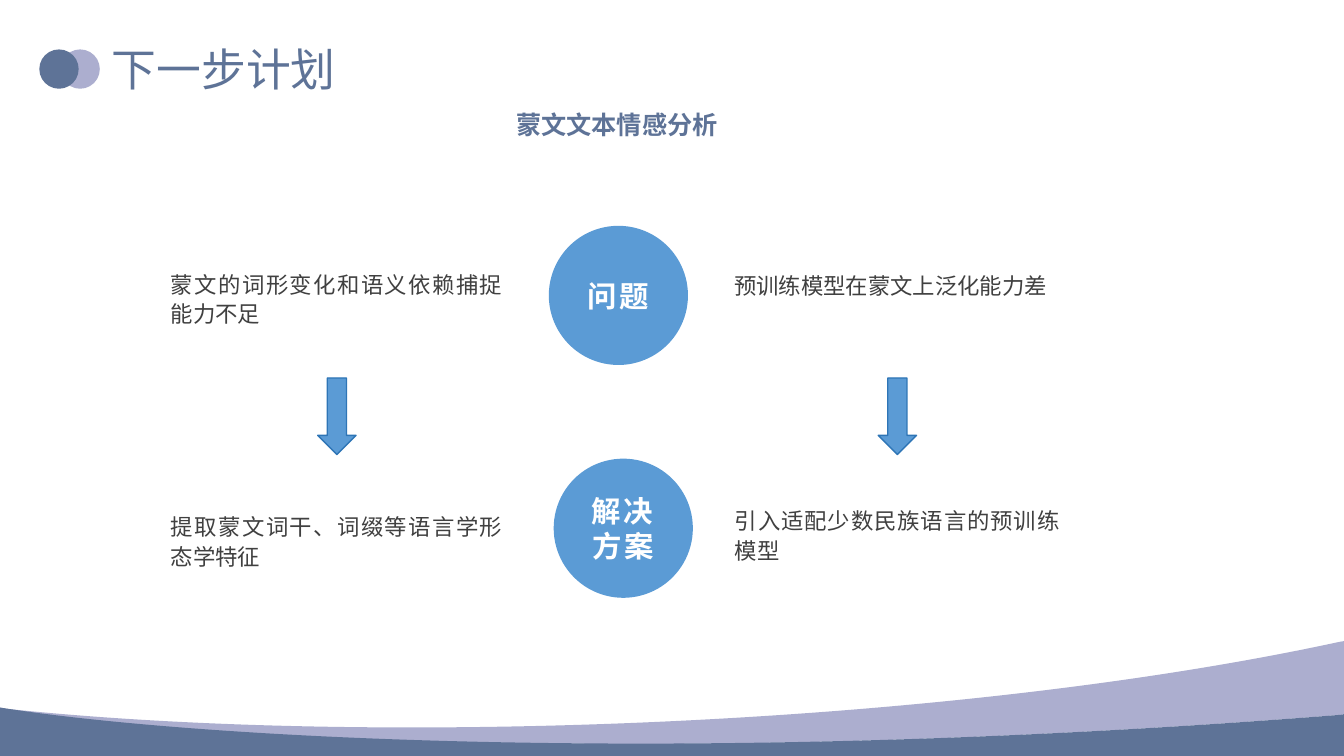
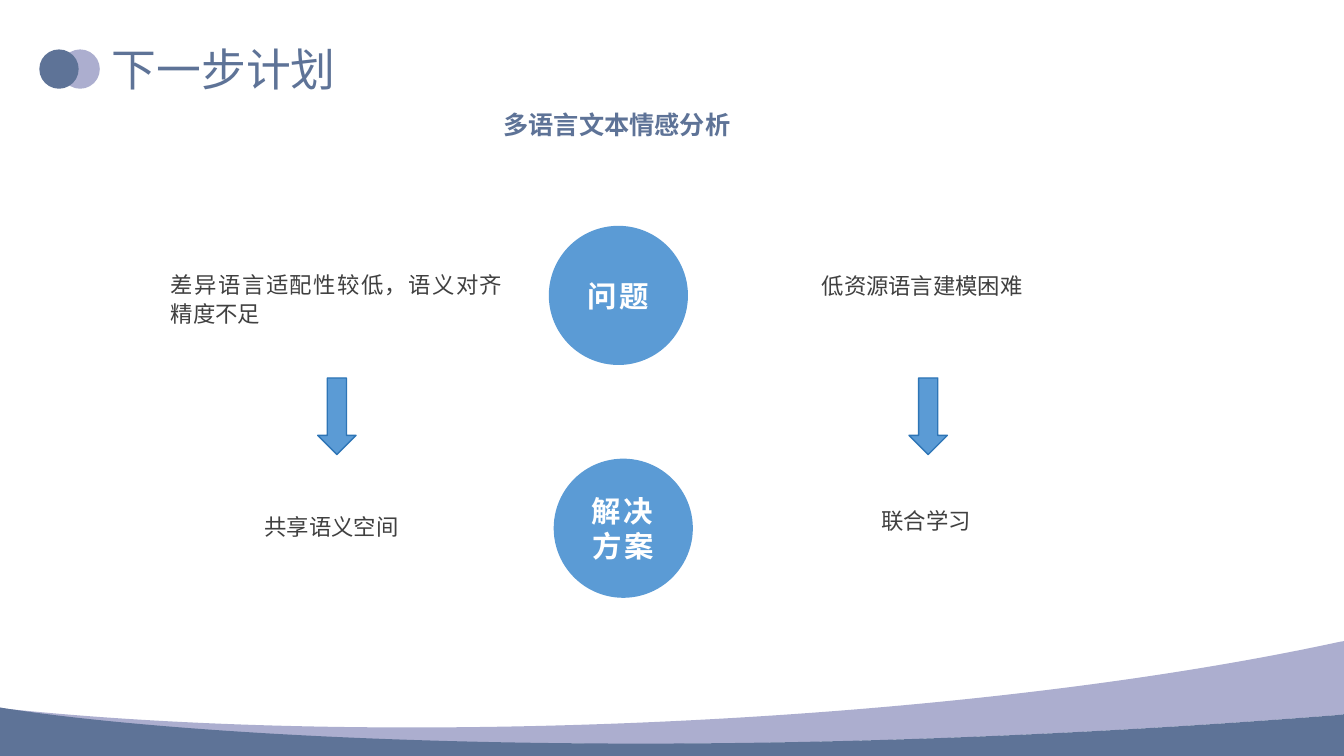
"""Build two next-step slides that pair problems with solutions in sentiment analysis."""
from pptx import Presentation
from pptx.dml.color import RGBColor
from pptx.enum.shapes import MSO_SHAPE
from pptx.enum.text import MSO_ANCHOR, PP_ALIGN
from pptx.oxml.ns import qn
from pptx.util import Pt

OVAL, DOWN_ARROW = MSO_SHAPE.OVAL, MSO_SHAPE.DOWN_ARROW
LEFT, CENTER, JUSTIFY = PP_ALIGN.LEFT, PP_ALIGN.CENTER, PP_ALIGN.JUSTIFY
TOP, MIDDLE = MSO_ANCHOR.TOP, MSO_ANCHOR.MIDDLE

COLORS = {
    "slate": "5E7397", "lilac": "ACAECF", "blue": "5B9BD5",
    "edge": "2E75B6", "ink": "404040", "white": "FFFFFF",
}
CJK_FONT = "Noto Sans CJK SC"
STYLES = {
    "title": {"size": 32, "color": "slate", "align": LEFT},
    "topic": {"size": 18, "color": "slate", "align": CENTER, "bold": True},
    "point": {"size": 16, "color": "ink", "align": JUSTIFY, "line": 1.1},
    "stage": {"size": 21, "color": "white", "align": CENTER, "bold": True,
              "font": "Arial", "spacing": 2, "anchor": MIDDLE},
}

WIDTH, HEIGHT = 960, 540
TITLE = "下一步计划"
STAGES = [("问题", 392, 161.3), ("解决方案", 395.5, 327.6)]
STAGE_SIZE = 99.4
SLIDES = [
    {"topic": "蒙文文本情感分析", "columns": [
        {"center": 240.6, "problem": ("蒙文的词形变化和语义依赖捕捉能力不足", 251.3),
         "solution": ("提取蒙文词干、词缀等语言学形态学特征", 251.3)},
        {"center": 641, "problem": ("预训练模型在蒙文上泛化能力差", 247),
         "solution": ("引入适配少数民族语言的预训练模型", 246.3)},
    ]},
    {"topic": "多语言文本情感分析", "columns": [
        {"center": 240.6, "problem": ("差异语言适配性较低，语义对齐精度不足", 251.3),
         "solution": ("共享语义空间", 117.4)},
        {"center": 663, "problem": ("低资源语言建模困难", 166.3),
         "solution": ("联合学习", 80.6)},
    ]},
]
ROWS = {"problem": [(187.9, 58.3), (188.6, 51.1)], "solution": [(361.4, 28.8), (357.1, 31)]}
ARROW_TOP, ARROW_WIDTH, ARROW_HEIGHT = 270, 27.4, 54.7
DOTS = [("lilac", 43.2), ("slate", 28.1)]
DOT_TOP, DOT_SIZE = 35.3, 28.1
WAVES = [
    {"fill": "lilac", "top": 457.9, "height": 73.4, "start": (WIDTH, 457.9), "segments": [
        [(WIDTH, 510.5)], [(959, 510.5)],
        [(468, 549.4), (123.1, 525.6), (0, 506.2)],
        [(0, 505.4)], [(3.6, 506.2)],
        [(270.7, 534.2), (679.7, 518.4), (956.2, 458.6)],
    ]},
    {"fill": "slate", "top": 505.4, "height": 34.6, "start": (0, 505.4), "segments": [
        [(123.1, 524.9), (468, 549.4), (959, 510.5)],
        [(WIDTH, 510)], [(WIDTH, HEIGHT)], [(0, HEIGHT)],
    ]},
]


def rgb(name):
    return RGBColor.from_string(COLORS[name])


def paint(shape, fill, edge=None):
    shape.shadow.inherit = False
    shape.fill.solid()
    shape.fill.fore_color.rgb = rgb(fill)
    if edge:
        shape.line.color.rgb = rgb(edge)
        shape.line.width = Pt(1)
    else:
        shape.line.fill.background()


def write(shape, text, style):
    frame = shape.text_frame
    frame.word_wrap = True
    frame.vertical_anchor = style.get("anchor", TOP)
    paragraph = frame.paragraphs[0]
    paragraph.alignment = style["align"]
    paragraph.line_spacing = style.get("line")
    run = paragraph.add_run()
    run.text = text
    run_format = {"name": style.get("font", CJK_FONT), "size": Pt(style["size"]),
                  "bold": style.get("bold", False)}
    for name, value in run_format.items():
        setattr(run.font, name, value)
    run.font.color.rgb = rgb(style["color"])
    properties = run.font._element
    east_asian = properties.makeelement(qn("a:ea"), {"typeface": CJK_FONT})
    properties.find(qn("a:latin")).addnext(east_asian)
    if "spacing" in style:
        properties.set("spc", str(style["spacing"] * 100))


def add_text(slide, text, style, *box):
    write(slide.shapes.add_textbox(*map(Pt, box)), text, STYLES[style])


def add_figure(slide, kind, box, fill, edge=None):
    figure = slide.shapes.add_shape(kind, *map(Pt, box))
    paint(figure, fill, edge)
    return figure


def bend(line, controls, top):
    curve = line.makeelement(qn("a:cubicBezTo"), {})
    for x, y in controls:
        position = {"x": str(Pt(x)), "y": str(Pt(y) - Pt(top))}
        curve.append(line.makeelement(qn("a:pt"), position))
    line.addprevious(curve)
    curve.append(line[0])
    line.getparent().remove(line)


def add_wave(slide, wave):
    builder = slide.shapes.build_freeform(*map(Pt, wave["start"]))
    ends = [tuple(map(Pt, segment[-1])) for segment in wave["segments"]]
    builder.add_line_segments(ends, close=True)
    shape = builder.convert_to_shape()
    paint(shape, wave["fill"])
    outline = next(shape._element.iter(qn("a:path")))
    for line, segment in zip(outline.findall(qn("a:lnTo")), wave["segments"]):
        if len(segment) > 1:
            bend(line, segment[:-1], wave["top"])
    shape.height = Pt(wave["height"])
    outline.set("h", str(shape.height))


def add_frame(slide):
    add_text(slide, TITLE, "title", 72.7, 26.6, 300, 46)
    for color, left in DOTS:
        add_figure(slide, OVAL, (left, DOT_TOP, DOT_SIZE, DOT_SIZE), color)
    for wave in WAVES:
        add_wave(slide, wave)


def add_plan(slide, plan):
    add_text(slide, plan["topic"], "topic", 280.8, 74.2, 319.7, 28.8)
    for label, left, top in STAGES:
        stage = add_figure(slide, OVAL, (left, top, STAGE_SIZE, STAGE_SIZE), "blue")
        write(stage, label, STYLES["stage"])
    for index, column in enumerate(plan["columns"]):
        center = column["center"]
        for row, places in ROWS.items():
            text, width = column[row]
            top, height = places[index]
            add_text(slide, text, "point", center - width / 2, top, width, height)
        arrow_box = (center - ARROW_WIDTH / 2, ARROW_TOP, ARROW_WIDTH, ARROW_HEIGHT)
        add_figure(slide, DOWN_ARROW, arrow_box, "blue", "edge")


def main():
    deck = Presentation()
    deck.slide_width, deck.slide_height = Pt(WIDTH), Pt(HEIGHT)
    for plan in SLIDES:
        slide = deck.slides.add_slide(deck.slide_layouts[6])
        add_frame(slide)
        add_plan(slide, plan)
    deck.save("out.pptx")


if __name__ == "__main__":
    main()
